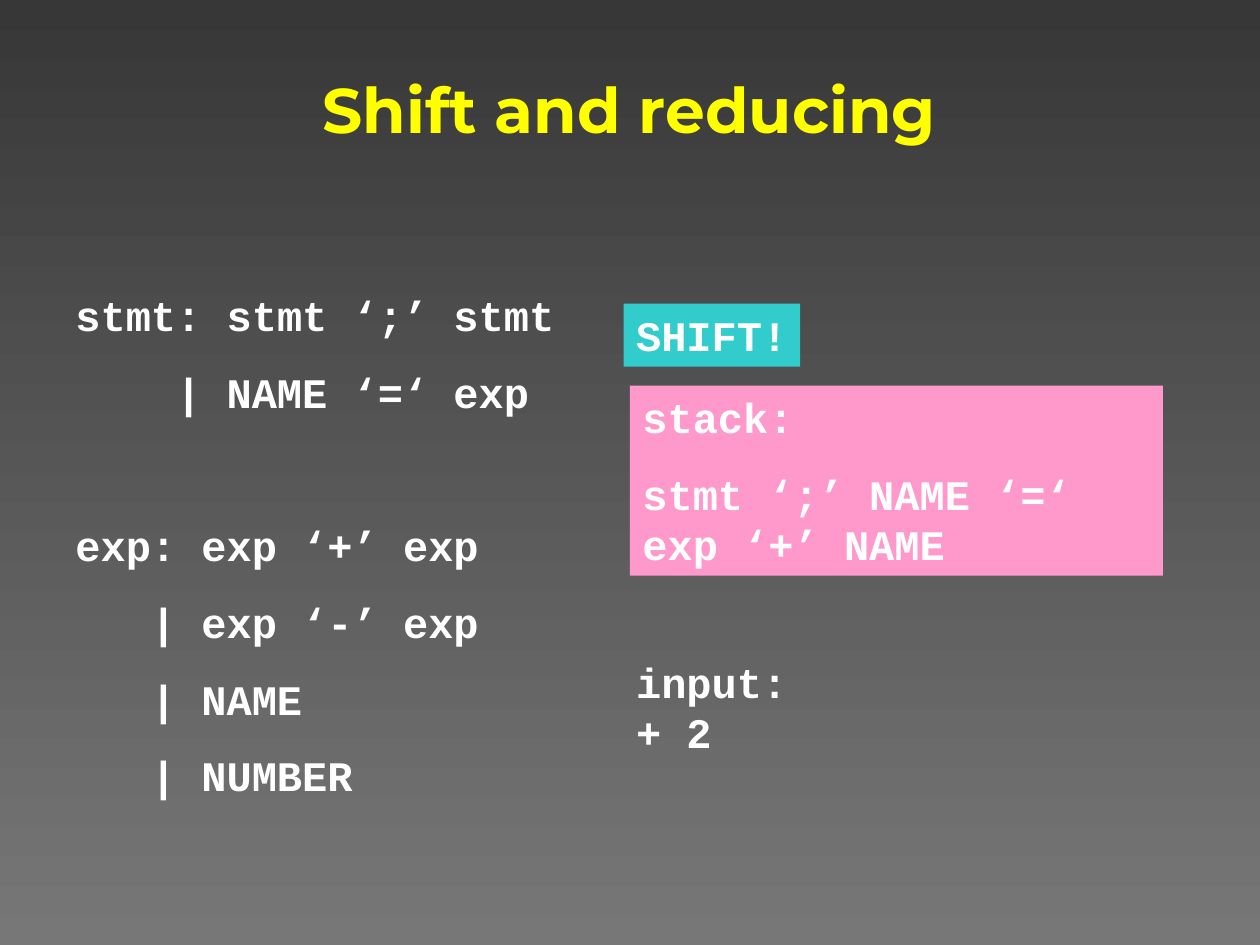
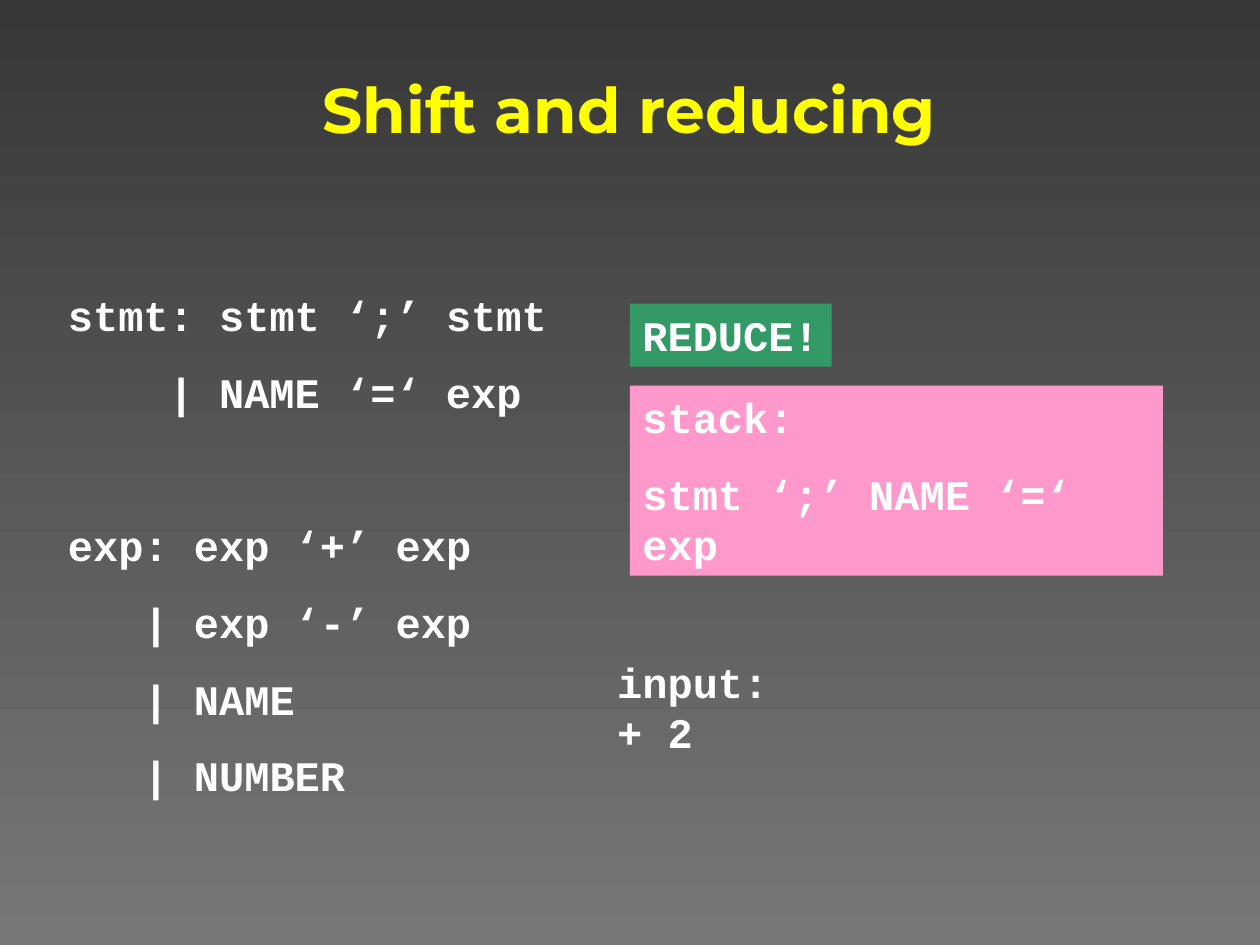
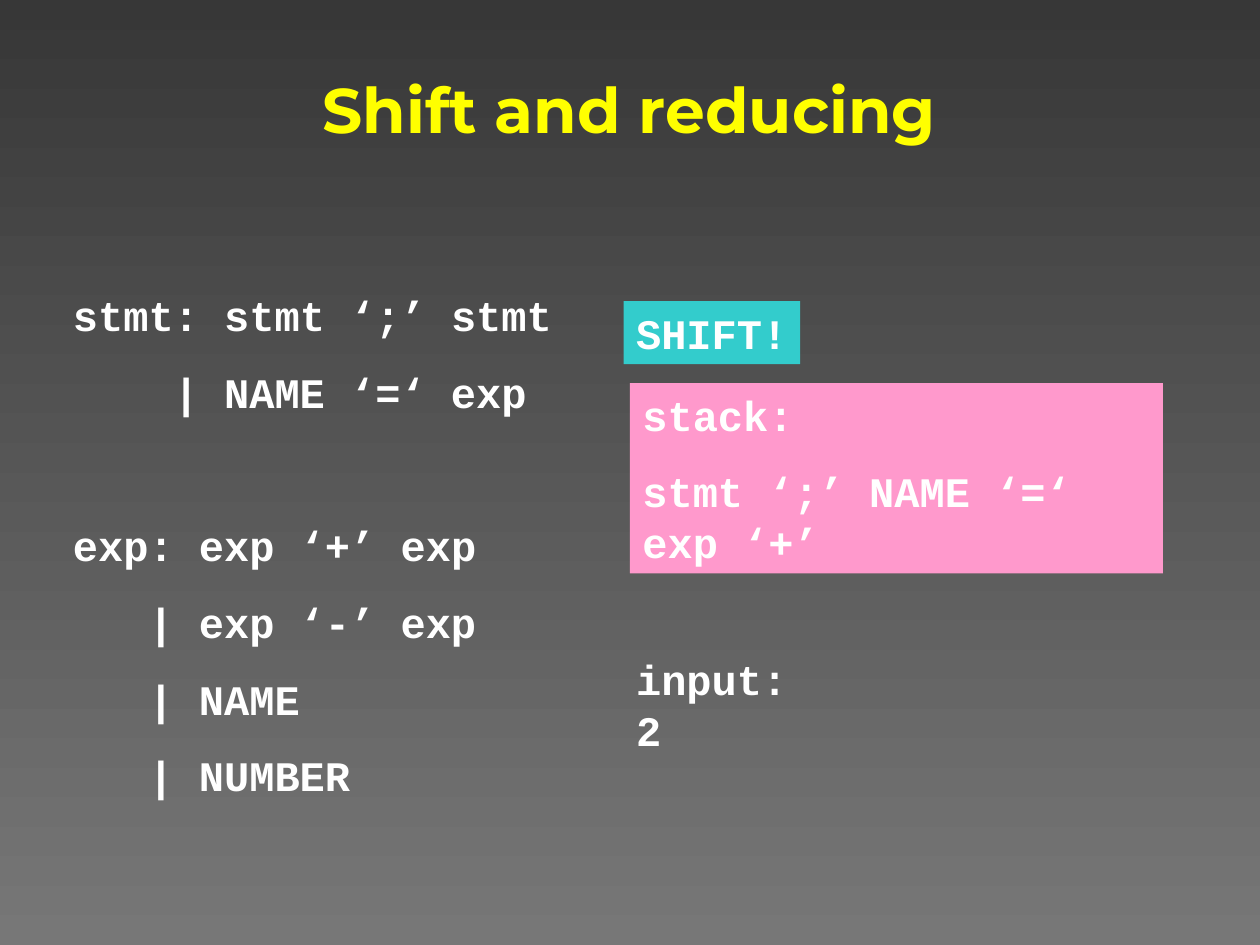
import dataclasses

import pptx
import pptx.dml.color
import pptx.enum.shapes
import pptx.enum.text
import pptx.util

Inches = pptx.util.Inches
Pt = pptx.util.Pt
Anchor = pptx.enum.text.MSO_ANCHOR
Align = pptx.enum.text.PP_ALIGN


@dataclasses.dataclass(frozen=True)
class Theme:
    """Colours, fonts and sizes shared by the slides."""
    dark: str = "373737"
    light: str = "777777"
    gold: str = "FFFF00"
    white: str = "FFFFFF"
    pink: str = "FF99CC"
    teal: str = "33CCCC"
    green: str = "339966"
    head: str = "Montserrat"
    code: str = "Courier New"
    big: int = 36
    body: int = 24
    gap: int = 15
    rule: int = 59
    char: float = 0.2
    pad: float = 0.2


THEME = Theme()
TITLE = "Shift and reducing"
GRAMMAR = [
    ("stmt: stmt ‘;’ stmt", 0, THEME.gap),
    ("| NAME ‘=‘ exp", 4, THEME.gap),
    ("exp: exp ‘+’ exp", 0, THEME.rule),
    ("| exp ‘-’ exp", 3, THEME.gap),
    ("| NAME", 3, THEME.gap),
    ("| NUMBER", 3, THEME.gap),
]


@dataclasses.dataclass(frozen=True)
class Step:
    """One parser step and where its parts start."""
    action: str
    fill: str
    stack: str
    feed: str
    left: float
    top: float
    tag: float
    queue: float


STEPS = [
    Step("SHIFT!", THEME.teal, "stmt ‘;’ NAME ‘=‘ exp ‘+’ NAME", "+ 2",
         0.5, 2.41, 4.95, 4.95),
    Step("REDUCE!", THEME.green, "stmt ‘;’ NAME ‘=‘ exp", "+ 2",
         0.44, 2.41, 5, 4.8),
    Step("SHIFT!", THEME.teal, "stmt ‘;’ NAME ‘=‘ exp ‘+’", "2",
         0.48, 2.39, 4.95, 4.95),
]


def color(code):
    """Turn a hex code into a colour."""
    return pptx.dml.color.RGBColor.from_string(code)


def style(para, face, size, tint):
    """Set the bold font of a paragraph."""
    font = para.font
    font.name, font.size, font.bold = face, Pt(size), True
    font.color.rgb = color(tint)


def block(slide, box, lines, fill=None, wrap=True):
    """Place code lines, each a text, an indent in characters and a gap."""
    area = [Inches(side) for side in box]
    if fill:
        kind = pptx.enum.shapes.MSO_SHAPE.RECTANGLE
        shape = slide.shapes.add_shape(kind, *area)
        shape.shadow.inherit = False
        shape.fill.solid()
        shape.fill.fore_color.rgb = color(fill)
        shape.line.fill.background()
    else:
        shape = slide.shapes.add_textbox(*area)
    frame = shape.text_frame
    frame.word_wrap = wrap
    frame.auto_size = pptx.enum.text.MSO_AUTO_SIZE.SHAPE_TO_FIT_TEXT
    frame.vertical_anchor = Anchor.TOP
    for spot, (text, indent, gap) in enumerate(lines):
        para = frame.add_paragraph() if spot else frame.paragraphs[0]
        para.text = text
        para.alignment = Align.LEFT
        para.space_before = Pt(gap)
        if indent:
            props = para._p.get_or_add_pPr()
            props.set("marL", str(Inches(indent * THEME.char)))
            props.set("indent", "0")
        style(para, THEME.code, THEME.body, THEME.white)


def label(slide, left, top, height, texts, fill=None):
    """Place tight lines in a box as wide as the longest one."""
    width = max(map(len, texts)) * THEME.char + THEME.pad
    lines = [(text, 0, 0) for text in texts]
    block(slide, (left, top, width, height), lines, fill, wrap=False)


def header(slide, box):
    """Place the centred title."""
    shape = slide.shapes.add_textbox(*[Inches(side) for side in box])
    frame = shape.text_frame
    frame.word_wrap = True
    frame.vertical_anchor = Anchor.MIDDLE
    para = frame.paragraphs[0]
    para.text = TITLE
    para.alignment = Align.CENTER
    style(para, THEME.head, THEME.big, THEME.gold)


def state(slide, left, top, step):
    """Place the input, the stack and the action of a step."""
    label(slide, step.queue, top + 2.75, 0.9, ["input:", step.feed])
    lines = [(text, 0, THEME.gap) for text in ("stack:", step.stack)]
    block(slide, (left, top + 0.65, 4.23, 1.51), lines, THEME.pink)
    label(slide, step.tag, top, 0.5, [step.action], step.fill)


def page(deck, step):
    """Add the slide of one step."""
    slide = deck.slides.add_slide(deck.slide_layouts[6])
    header(slide, (0.29, 0.36, 9.41, 1))
    block(slide, (step.left, 2.25, 4.56 - step.left, 4.15), GRAMMAR)
    state(slide, 5, step.top, step)


def shade(master):
    """Give every slide the vertical gradient."""
    fill = master.background.fill
    fill.gradient()
    fill.gradient_angle = 270
    for spot, tint in enumerate((THEME.dark, THEME.light)):
        stop = fill.gradient_stops[spot]
        stop.position = spot
        stop.color.rgb = color(tint)


def main():
    """Build and save the deck."""
    deck = pptx.Presentation()
    deck.slide_width, deck.slide_height = Inches(10), Inches(7.5)
    shade(deck.slide_master)
    for step in STEPS:
        page(deck, step)
    deck.save("out.pptx")


if __name__ == "__main__":
    main()
